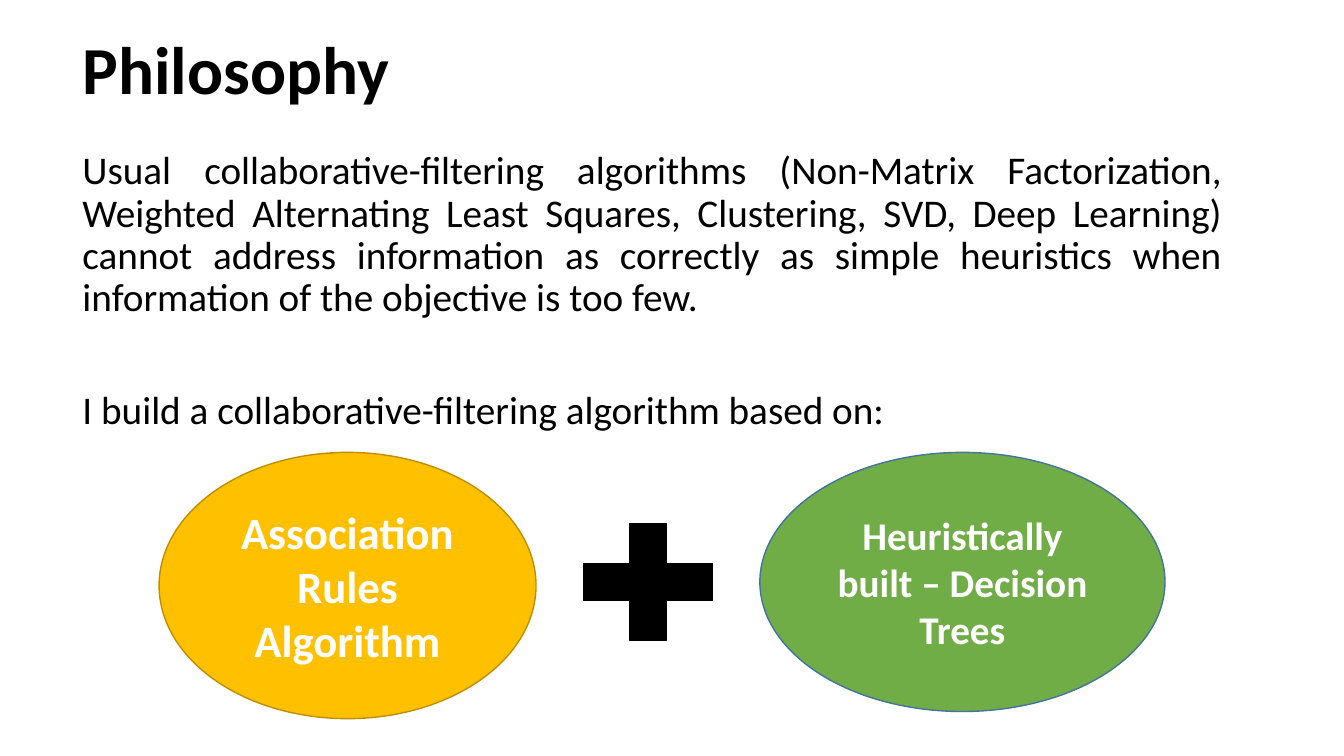
from pptx import Presentation
from pptx.dml.color import RGBColor
from pptx.enum.shapes import MSO_SHAPE as SHAPE
from pptx.enum.text import MSO_ANCHOR as ANCHOR, MSO_AUTO_SIZE as AUTO, PP_ALIGN as ALIGN
from pptx.util import Cm, Pt

WHITE, BLACK, GOLD, GREEN = "FFFFFF", "000000", "FFC000", "70AD47"


def rgb(value):
    return RGBColor.from_string(value)


def set_attrs(target, values):
    for name, value in values.items():
        setattr(target, name, value)


def place(sp, box):
    set_attrs(sp, dict(zip(("left", "top", "width", "height"), map(Cm, box))))


def write(p, text, size, color=BLACK, bold=False, **layout):
    set_attrs(p, layout)
    r = p.add_run()
    r.text = text
    set_attrs(r.font, {"name": "Calibri", "size": Pt(size), "bold": bold})
    r.font.color.rgb = rgb(color)


def add_title(s, box, text):
    sp = s.shapes.title
    place(sp, box)
    tf = sp.text_frame
    set_attrs(tf, {"vertical_anchor": ANCHOR.MIDDLE, "auto_size": AUTO.NONE, "word_wrap": True})
    write(tf.paragraphs[0], text, 48, bold=True, alignment=ALIGN.LEFT, line_spacing=0.9)


def add_body(s, box, paragraphs):
    tf = s.shapes.add_textbox(*map(Cm, box)).text_frame
    tf.word_wrap = True
    for i, (text, before) in enumerate(paragraphs):
        p = tf.add_paragraph() if i else tf.paragraphs[0]
        write(p, text, 28, alignment=ALIGN.JUSTIFY, line_spacing=0.9, space_before=Pt(before))


def add_figure(s, kind, box, fill, line):
    sp = s.shapes.add_shape(kind, *map(Cm, box))
    sp.shadow.inherit = False
    sp.fill.solid()
    sp.fill.fore_color.rgb = rgb(fill)
    sp.line.color.rgb = rgb(line)
    sp.line.width = Pt(1)
    return sp


def add_ingredients(s, box):
    left, top, width, height = box
    rules_w, trees_w, plus_w, plus_h = 9.5, 10.21, 4.42, 3.99
    trees_x = left + width - trees_w
    # Plus sign centred in the gap between the ellipses
    plus_x = (left + rules_w + trees_x - plus_w) / 2
    ellipses = [
        ("Association Rules Algorithm", 32, (left, top, rules_w, height), GOLD, "BD8E00"),
        ("Heuristically built – Decision Trees", 28, (trees_x, top, trees_w, 6.53), GREEN, "43739E"),
    ]
    for text, size, area, fill, line in ellipses:
        tf = add_figure(s, SHAPE.OVAL, area, fill, line).text_frame
        set_attrs(tf, {"word_wrap": True, "vertical_anchor": ANCHOR.MIDDLE})
        write(tf.paragraphs[0], text, size, WHITE, True, alignment=ALIGN.CENTER)
    add_figure(s, SHAPE.MATH_PLUS, (plus_x, top + 1.27, plus_w, plus_h), BLACK, BLACK)


prs = Presentation()
set_attrs(prs, {"slide_width": Cm(33.87), "slide_height": Cm(19.05)})
s = prs.slides.add_slide(prs.slide_layouts[5])

# Title and text share one column
add_title(s, (1.83, 0, 29.21, 3.68), "Philosophy")
add_body(s, (1.83, 3.68, 29.21, 12.09), [
    ("Usual collaborative-filtering algorithms (Non-Matrix Factorization, Weighted "
     "Alternating Least Squares, Clustering, SVD, Deep Learning) cannot address "
     "information as correctly as simple heuristics when information of the "
     "objective is too few.", 10),
    ("I build a collaborative-filtering algorithm based on:", 50),
])

# The two combined techniques
add_ingredients(s, (4.01, 11.4, 25.35, 6.71))

prs.save("out.pptx")
